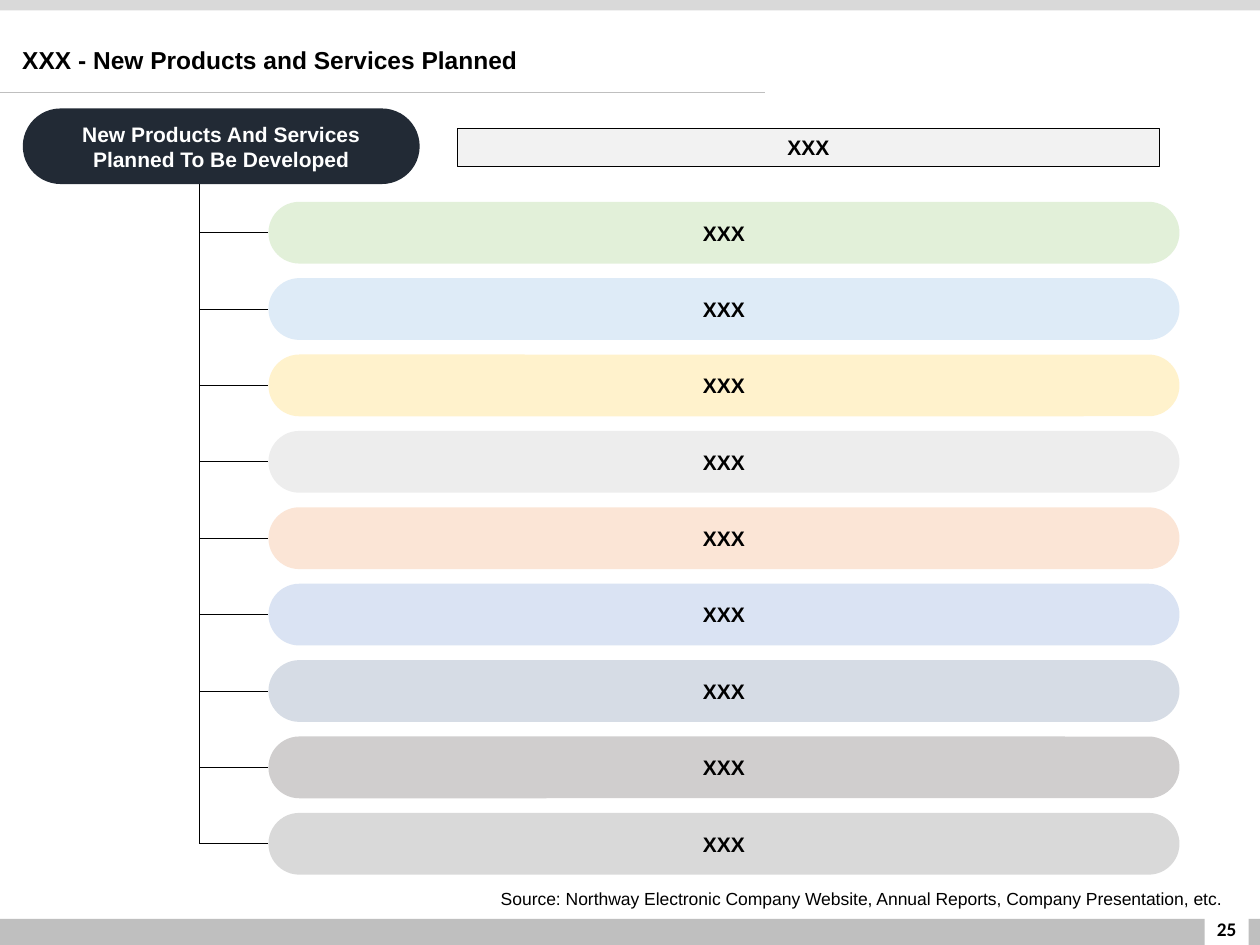
import pptx
import pptx.util
import pptx.oxml
import pptx.oxml.ns
from pptx.dml.color import RGBColor
from pptx.enum.shapes import MSO_CONNECTOR, MSO_SHAPE
from pptx.enum.text import MSO_ANCHOR, PP_ALIGN

Pt = pptx.util.Pt

BLACK = RGBColor(0x00, 0x00, 0x00)
WHITE = RGBColor(0xFF, 0xFF, 0xFF)
NAVY = RGBColor(0x22, 0x2A, 0x35)
PALE = RGBColor(0xF2, 0xF2, 0xF2)
LIGHT = RGBColor(0xD9, 0xD9, 0xD9)
GREY = RGBColor(0xBF, 0xBF, 0xBF)
ROWS = [
    RGBColor(0xE2, 0xF0, 0xD9),
    RGBColor(0xDE, 0xEB, 0xF7),
    RGBColor(0xFF, 0xF2, 0xCC),
    RGBColor(0xED, 0xED, 0xED),
    RGBColor(0xFB, 0xE5, 0xD6),
    RGBColor(0xDA, 0xE3, 0xF3),
    RGBColor(0xD6, 0xDC, 0xE5),
    RGBColor(0xD0, 0xCE, 0xCE),
    LIGHT,
]


def write(shape, text, size, color=BLACK, bold=True, align=PP_ALIGN.CENTER,
          anchor=MSO_ANCHOR.MIDDLE, face="Arial"):
    frame = shape.text_frame
    frame.word_wrap = True
    frame.vertical_anchor = anchor
    frame.text = text
    para = frame.paragraphs[0]
    para.alignment = align
    font = para.runs[0].font
    font.name, font.size, font.bold = face, Pt(size), bold
    font.color.rgb = color


def add_text(slide, box, text, size, **style):
    label = slide.shapes.add_textbox(*map(Pt, box))
    write(label, text, size, **style)


def add_box(slide, box, fill, kind=MSO_SHAPE.RECTANGLE):
    shape = slide.shapes.add_shape(kind, *map(Pt, box))
    shape.shadow.inherit = False
    shape.fill.solid()
    shape.fill.fore_color.rgb = fill
    shape.line.fill.background()
    return shape


def add_pill(slide, box, fill, text, color=BLACK):
    pill = add_box(slide, box, fill, MSO_SHAPE.ROUNDED_RECTANGLE)
    pill.adjustments[0] = 0.5
    frame = pill.text_frame
    frame.margin_left = frame.margin_right = Pt(5)
    frame.margin_top = frame.margin_bottom = Pt(3)
    write(pill, text, 12, color)


def add_line(slide, ends, color=BLACK):
    line = slide.shapes.add_connector(MSO_CONNECTOR.STRAIGHT, *map(Pt, ends))
    line.line.color.rgb = color
    line.line.width = Pt(0.5)
    props = line._element.spPr
    props.append(pptx.oxml.parse_xml(
        "<a:effectLst %s/>" % pptx.oxml.ns.nsdecls("a")))


def add_frame(slide, wide, high):
    # Top and bottom bands with the page number
    add_box(slide, (0, high - 15, wide, 15), GREY)
    add_box(slide, (0, 0, wide, 6), LIGHT)
    add_box(slide, (wide - 31.7, high - 26.6, 25.2, 26.6), WHITE)
    add_text(slide, (wide - 36.7, high - 23.8, 35.3, 28.8), "25", 11,
             face="Calibri")


def add_head(slide, left, top, wide, high):
    # Title above a thin rule
    add_text(slide, (left, top, wide, high),
             "XXX - New Products and Services Planned", 14,
             align=PP_ALIGN.LEFT, anchor=MSO_ANCHOR.TOP)
    add_line(slide, (0, top + 31, 437, top + 31), GREY)


def add_tree(slide, left, top, wide, high):
    # Root pill, trunk and one branch for each row
    root, row, gap = 43.2, 35.3, 51.8
    trunk, start = left + 100.8, left + 140.4
    step = (high - gap - 1.5 - row) / (len(ROWS) - 1)
    for i, fill in enumerate(ROWS):
        y = top + gap + 1.5 + i * step
        mid = y + row / 2
        add_line(slide, (trunk, mid, start, mid))
        add_pill(slide, (start, y, left + wide - start, row), fill, "XXX")
    add_line(slide, (trunk, top + root, trunk, mid))
    add_pill(slide, (left, top, 226.8, root), NAVY,
             "New Products And Services Planned To Be Developed", WHITE)


def add_name(slide, left, top, wide, high):
    # Outlined bar beside the root
    bar = add_box(slide, (left, top, wide, high), PALE)
    bar.line.color.rgb = BLACK
    bar.line.width = Pt(0.75)
    write(bar, "XXX", 12)


def add_source(slide, left, top, wide, high):
    add_text(slide, (left, top, wide, high),
             "Source: Northway Electronic Company Website, Annual Reports, "
             "Company Presentation, etc.", 10, bold=False,
             align=PP_ALIGN.RIGHT, anchor=MSO_ANCHOR.TOP)


def main():
    deck = pptx.Presentation()
    deck.slide_width, deck.slide_height = Pt(720), Pt(540)
    slide = deck.slides.add_slide(deck.slide_layouts[6])
    add_frame(slide, 720, 540)
    add_head(slide, 5.6, 22, 476.6, 24.5)
    add_source(slide, 201.6, 504, 503.3, 19.4)
    add_tree(slide, 13, 62, 661, 437.8)
    add_name(slide, 261.5, 73.4, 401, 21.8)
    deck.save("out.pptx")


if __name__ == "__main__":
    main()
